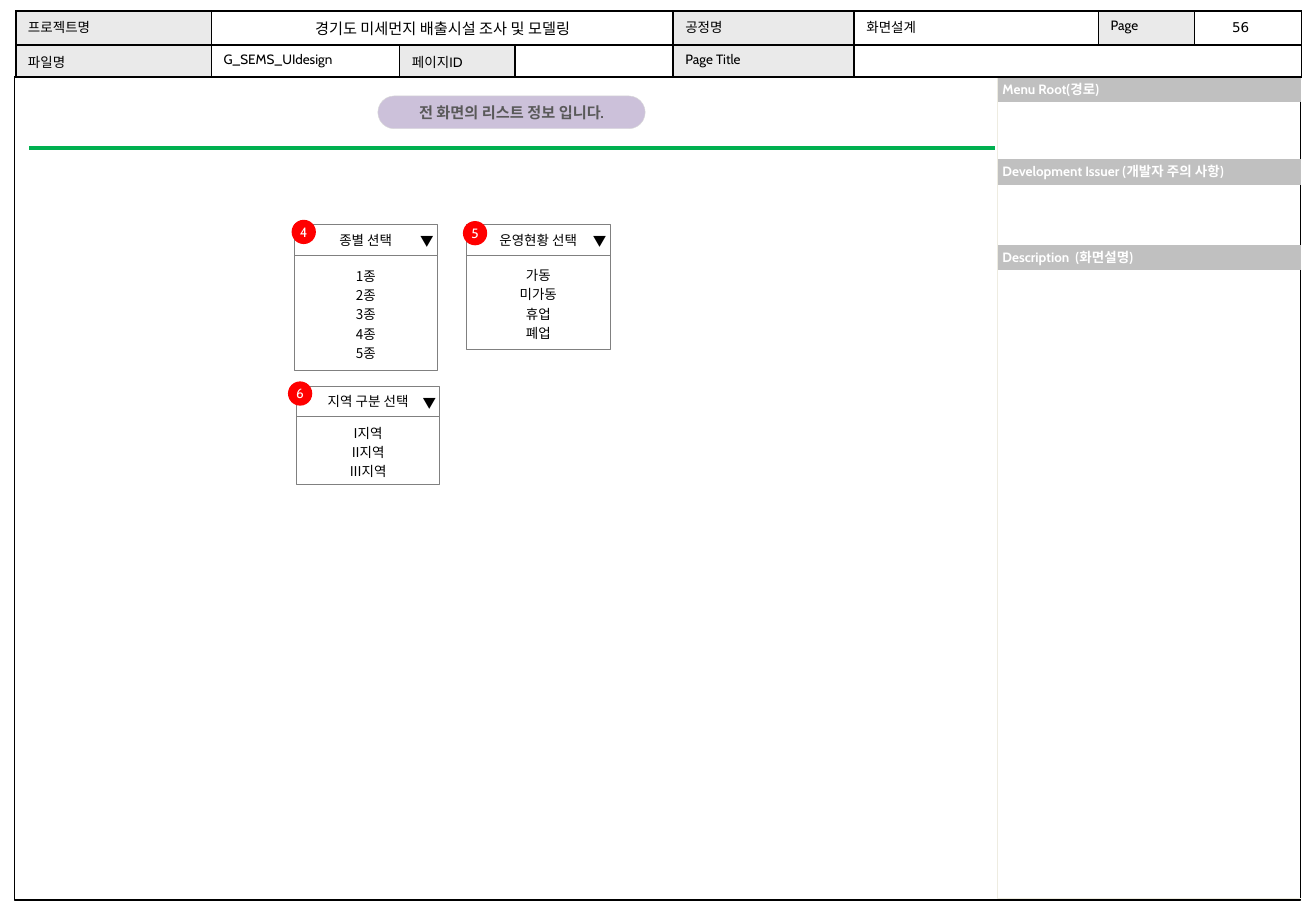
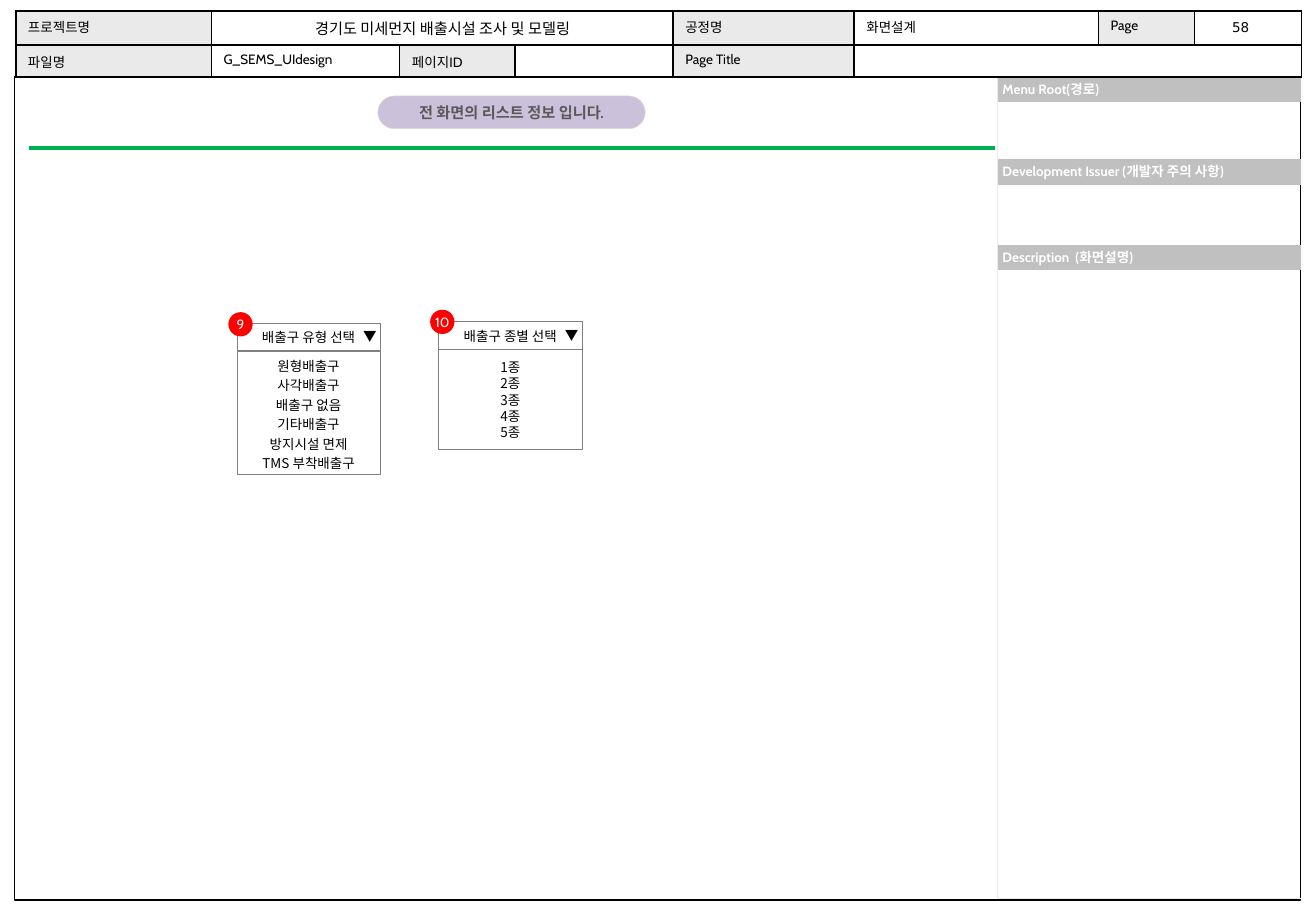
import lxml.etree
import pptx
import pptx.dml.color
import pptx.enum.shapes
import pptx.enum.text
import pptx.oxml.ns
import pptx.util

# Grid: every length below counts cells of a tenth of an inch
GRID = pptx.util.Inches(0.1)
COLORS = {
    "black": "000000", "white": "FFFFFF", "band": "C0C0C0", "label": "EAEAEA",
    "pale": "EEECE1", "green": "00B050", "lilac": "CCC1DA", "pill edge": "D9D9D9",
    "title": "595959", "menu edge": "808080", "red": "FF0000",
}
LATIN, KOREAN, DIGITS = "Cabin", "Noto Sans CJK KR", "DejaVu Sans"
PLAIN_TABLE = "{2D5ABB26-0587-4C30-8999-92F81FD0307C}"
SHAPE = pptx.enum.shapes.MSO_SHAPE
ALIGN = pptx.enum.text.PP_ALIGN
ANCHOR = pptx.enum.text.MSO_ANCHOR
qn = pptx.oxml.ns.qn


def write(frame, text, size=8, font=KOREAN, color="black", bold=False,
          align=ALIGN.CENTER, spacing=1.0):
    """Fill a text frame, one paragraph for each line of text."""
    for index, line in enumerate(text.split("\n")):
        para = frame.add_paragraph() if index else frame.paragraphs[0]
        para.alignment, para.line_spacing = align, spacing
        span = para.add_run()
        span.text = line
        span.font.size, span.font.bold, span.font.name = pptx.util.Pt(size), bold, font
        span.font.color.rgb = pptx.dml.color.RGBColor.from_string(COLORS[color])
        east = lxml.etree.SubElement(span.font._element, qn("a:ea"))
        east.set("typeface", KOREAN)


def draw(page, kind, cells, fill=None, edge=None, weight=0.5):
    """Add a preset shape at left, top, width, height in grid cells."""
    box = page.shapes.add_shape(kind, *[round(GRID * n) for n in cells])
    box.shadow.inherit = False
    for paint, color in ((box.fill, fill), (box.line.fill, edge)):
        if color:
            paint.solid()
            paint.fore_color.rgb = pptx.dml.color.RGBColor.from_string(COLORS[color])
        else:
            paint.background()
    if edge:
        box.line.width = pptx.util.Pt(weight)
    frame = box.text_frame
    frame.margin_left = frame.margin_right = round(GRID * 0.4)
    frame.margin_top = frame.margin_bottom = round(GRID * 0.4)
    frame.vertical_anchor = ANCHOR.MIDDLE
    return box


# Shared tables: cell texts by (row, column), labels are the filled cells
TABLES = [
    {
        "at": (82.1, 6.4), "columns": [25], "rows": [2, 4.7, 2.1, 5, 2, 51.7],
        "texts": {(0, 0): "Menu Root(경로)", (2, 0): "Development Issuer (개발자 주의 사항)",
                  (4, 0): "Description  (화면설명)"},
        "labels": [(0, 0), (2, 0), (4, 0)], "fill": "band", "merges": [],
        "format": {"color": "white", "bold": True, "spacing": 0.75},
        "margins": (0.4, 0.4), "anchor": ANCHOR.MIDDLE,
        "sides": ["lnL"], "last sides": ["lnL", "lnB"], "border": ("pale", 0.25),
    },
    {
        "at": (1.3, 0.9), "columns": [16.1, 15.5, 9.5, 13, 14.9, 20.1, 7.9, 8.8],
        "rows": [2.8, 2.6],
        "texts": {(0, 0): "프로젝트명", (0, 1): "경기도 미세먼지 배출시설 조사 및 모델링",
                  (0, 4): "공정명", (0, 5): "화면설계", (0, 6): "Page",
                  (1, 0): "파일명", (1, 1): "G_SEMS_UIdesign", (1, 2): "페이지ID",
                  (1, 4): "Page Title"},
        "labels": [(0, 0), (0, 4), (0, 6), (1, 0), (1, 2), (1, 4)], "fill": "label",
        "merges": [(0, 1, 3), (1, 5, 7)], "format": {}, "margins": (1, 0.5),
        "anchor": ANCHOR.TOP, "sides": ["lnL", "lnR", "lnT", "lnB"],
        "last sides": ["lnL", "lnR", "lnT", "lnB"], "border": ("black", 1),
    },
]

# Dropdown menus: number, badge corner, menu corner, list height, heading, options
MENU_WIDTH, BADGE = 11.8, 2
FIVE_KINDS = "1종\n2종\n3종\n4종\n5종"
PAGES = [
    {"number": "56", "head": 2.5, "arrow drop": 0.2, "menus": [
        ("4", (24, 18.1), (24.2, 18.5), 9.5, "종별 션택", FIVE_KINDS, 1.2),
        ("6", (23.7, 31.4), (24.4, 31.8), 5.6, "지역 구분 선택", "I지역\nII지역\nIII지역", 1.2),
        ("5", (38.1, 18.2), (38.4, 18.5), 7.8, "운영현황 선택", "가동\n미가동\n휴업\n폐업", 1.2),
    ]},
    {"number": "58", "head": 2.3, "arrow drop": -0.1, "menus": [
        ("9", (18.8, 25.7), (19.5, 26.6), 10.2, "배출구 유형 선택",
         "원형배출구\n사각배출구\n배출구 없음\n기타배출구\n방지시설 면제\nTMS 부착배출구", 1.2),
        ("10", (35.4, 25.5), (36.1, 26.5), 8.2, "배출구 종별 선택", FIVE_KINDS, 1.0),
    ]},
]

deck = pptx.Presentation()
deck.slide_width, deck.slide_height = round(GRID * 108.3), round(GRID * 75)

for content in PAGES:
    page = deck.slides.add_slide(deck.slide_layouts[5])

    # Page frame
    draw(page, SHAPE.RECTANGLE, (1.2, 6.3, 105.8, 67.8), edge="black", weight=0.75)

    # Side panel and header tables
    for plan in TABLES:
        columns, rows = plan["columns"], plan["rows"]
        area = [round(GRID * n) for n in (*plan["at"], sum(columns), sum(rows))]
        table = page.shapes.add_table(len(rows), len(columns), *area).table
        table._tbl.tblPr.find(qn("a:tableStyleId")).text = PLAIN_TABLE
        table.first_row = table.horz_banding = False
        for column, width in zip(table.columns, columns):
            column.width = round(GRID * width)
        for row, height in zip(table.rows, rows):
            row.height = round(GRID * height)
        for row, first, last in plan["merges"]:
            table.cell(row, first).merge(table.cell(row, last))
        for row in range(len(rows)):
            for column in range(len(columns)):
                cell = table.cell(row, column)
                across, down = [round(GRID * n) for n in plan["margins"]]
                cell.margin_left = cell.margin_right = across
                cell.margin_top = cell.margin_bottom = down
                cell.vertical_anchor = plan["anchor"]
                # Borders come before the fill in the cell properties
                color, weight = plan["border"]
                is_last = row == len(rows) - 1
                for side in plan["last sides" if is_last else "sides"]:
                    border = lxml.etree.SubElement(cell._tc.get_or_add_tcPr(), qn("a:" + side))
                    border.set("w", str(pptx.util.Pt(weight)))
                    paint = lxml.etree.SubElement(border, qn("a:solidFill"))
                    lxml.etree.SubElement(paint, qn("a:srgbClr")).set("val", COLORS[color])
                if (row, column) in plan["labels"]:
                    cell.fill.solid()
                    cell.fill.fore_color.rgb = pptx.dml.color.RGBColor.from_string(
                        COLORS[plan["fill"]])
                else:
                    cell.fill.background()
                text = plan["texts"].get((row, column))
                if text:
                    is_project = len(columns) > 1 and (row, column) == (0, 1)
                    write(cell.text_frame, text, font=LATIN, size=9 if is_project else 8,
                          align=ALIGN.CENTER if is_project else ALIGN.LEFT, **plan["format"])
                else:
                    # Small type keeps empty cells from stretching their row
                    para = cell.text_frame.paragraphs[0]
                    lxml.etree.SubElement(para._p, qn("a:endParaRPr")).set("sz", "800")

    # Page number
    number = draw(page, SHAPE.RECTANGLE, (101, 0.5, 2.7, 2.5))
    number.text_frame.word_wrap = False
    number.text_frame.vertical_anchor = ANCHOR.TOP
    write(number.text_frame, content["number"], font=DIGITS, align=ALIGN.LEFT, spacing=1.5)

    # Green rule
    ends = [round(GRID * n) for n in (2.4, 12.2, 81.9, 12.2)]
    rule = page.shapes.add_connector(pptx.enum.shapes.MSO_CONNECTOR.STRAIGHT, *ends)
    rule.line.width = pptx.util.Pt(2.5)
    rule.line.color.rgb = pptx.dml.color.RGBColor.from_string(COLORS["green"])
    lxml.etree.SubElement(rule._element.spPr, qn("a:effectLst"))

    # Title on its pill
    pill = draw(page, SHAPE.ROUNDED_RECTANGLE, (31.1, 7.9, 22, 2.7), "lilac", "pill edge", 0.25)
    pill.adjustments[0] = 0.5
    title = page.shapes.title
    title.left, title.top, title.width, title.height = (
        pill.left, pill.top, pill.width, pill.height)
    title.text_frame.auto_size = pptx.enum.text.MSO_AUTO_SIZE.NONE
    title.text_frame.margin_top = title.text_frame.margin_bottom = 0
    title.text_frame.vertical_anchor = ANCHOR.MIDDLE
    write(title.text_frame, "전 화면의 리스트 정보 입니다.", size=9, font=LATIN,
          color="title", bold=True)
    pill._element.addnext(title._element)

    # Dropdown menus
    head = content["head"]
    for label, corner, (left, top), height, heading, options, spacing in content["menus"]:
        bar = draw(page, SHAPE.RECTANGLE, (left, top, MENU_WIDTH, head), "white", "menu edge")
        write(bar.text_frame, heading)
        arrow_cells = (left + 9.4, top + content["arrow drop"], 3.1, 2.4)
        arrow = page.shapes.add_textbox(*[round(GRID * n) for n in arrow_cells])
        arrow.text_frame.word_wrap = True
        write(arrow.text_frame, "▼", align=ALIGN.LEFT)
        choices = draw(page, SHAPE.RECTANGLE, (left, top + head, MENU_WIDTH, height),
                       "white", "menu edge")
        write(choices.text_frame, options, spacing=spacing)
        badge = draw(page, SHAPE.OVAL, (*corner, BADGE, BADGE), "red")
        badge.text_frame.word_wrap = False
        write(badge.text_frame, label, font=LATIN, color="white")

deck.save("out.pptx")
